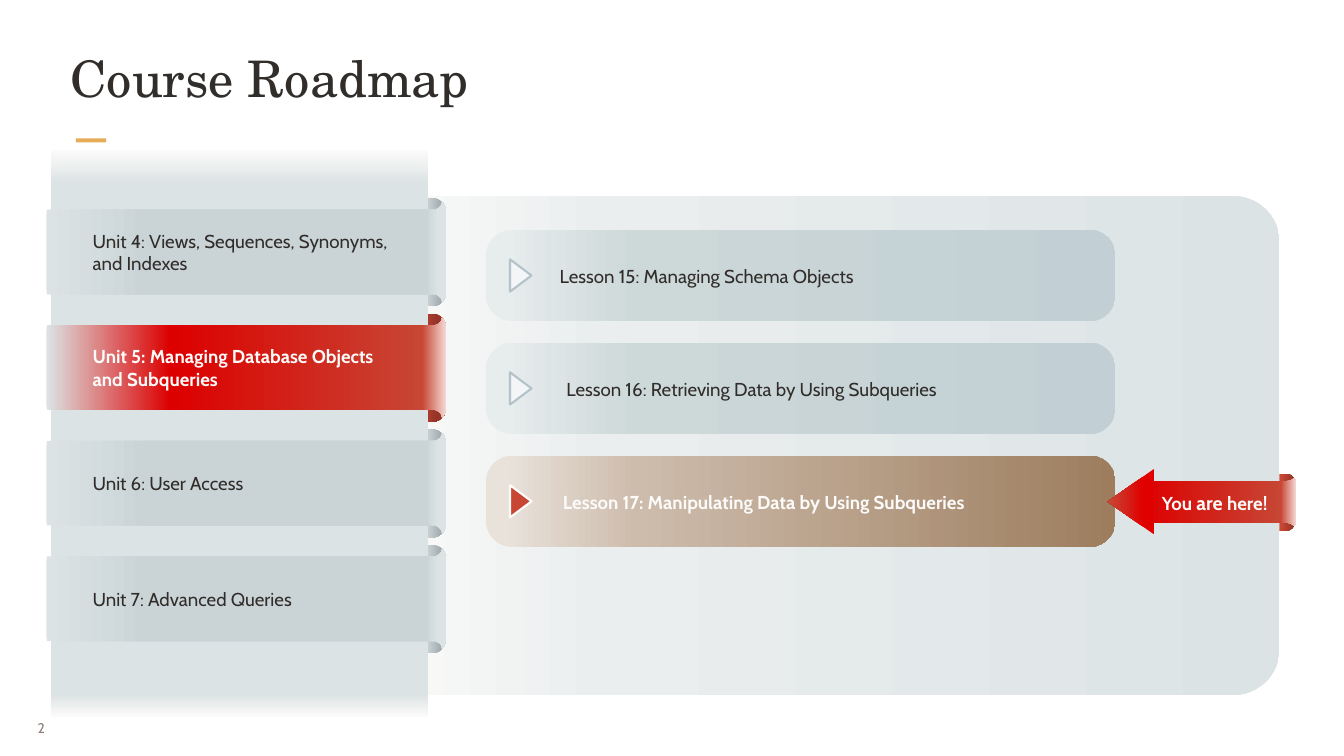
import pptx
import pptx.dml.color
import pptx.enum.shapes
import pptx.enum.text
import pptx.oxml
import pptx.oxml.ns
import pptx.util

Inches = pptx.util.Inches
Shapes = pptx.enum.shapes.MSO_SHAPE
Align = pptx.enum.text.PP_ALIGN
Anchor = pptx.enum.text.MSO_ANCHOR

COLORS = {
    "ink": "312D2A", "muted": "8B8078", "light": "FCFBFA", "accent": "E6AC58",
    "fog": "EAEEEF", "mist": "DCE3E4", "steel": "CAD4D7",
    "curl": "DEE4E5", "curl_dark": "96A2A7",
    "red": "DC0000", "tip": "E00000", "brick": "C74634", "brick_dark": "953427",
    "blush": "F4DAD6", "sand": "E9E2DB", "tan": "CDBCAC", "brown": "9D7D5E",
    "ice": "E7ECED", "sage": "CDD8D9", "blue_gray": "C2CFD4",
    "arrow": "F3F5F6", "arrow_line": "B4C3C9",
}

# Gradients: (position in percent, colour)
PANEL = [(0, "light"), (26, "fog"), (100, "mist")]
SIDEBAR = [(0, "light"), (6, "mist"), (96, "mist"), (100, "light")]
LESSON = [(3, "ice"), (24, "sage"), (100, "blue_gray")]
LESSON_NOW = [(3, "sand"), (24, "tan"), (100, "brown")]
UNIT = [(0, "mist"), (25, "steel"), (95, "steel"), (98, "mist")]
UNIT_NOW = [(0, "mist"), (31, "red"), (94, "brick"), (100, "blush")]
CURL = [(77, "curl"), (99, "curl_dark")]
CURL_NOW = [(73, "brick"), (92, "brick_dark")]
MARKER = [(0, "red"), (90, "brick"), (100, "blush")]
MARKER_CURL = [(11, "brick"), (92, "brick_dark")]
MARKER_TIP = [(0, "tip"), (23, "tip"), (96, "brick")]


def rgb(name):
    return pptx.dml.color.RGBColor.from_string(COLORS[name])


def write(frame, text, size=20, font="Cabin", color="ink", bold=False, align=Align.LEFT):
    """Fill a text frame; text is a string or a list of (string, size)."""
    paragraph = frame.paragraphs[0]
    paragraph.alignment = align
    for words, points in [(text, size)] if isinstance(text, str) else text:
        run = paragraph.add_run()
        run.text = words
        run.font.name = font
        run.font.size = pptx.util.Pt(points)
        run.font.bold = bold
        run.font.color.rgb = rgb(color)


def curve(*controls, steps=8):
    """Points along a cubic Bezier curve."""
    weights = (1, 3, 3, 1)
    return [
        tuple(sum(w * (1 - t) ** (3 - k) * t ** k * point[axis]
                  for k, (w, point) in enumerate(zip(weights, controls)))
              for axis in (0, 1))
        for t in (step / steps for step in range(steps + 1))
    ]


def ribbon_edge(left, right, hook, drop, inset, notch=0):
    """Upper edge of a ribbon that flares at its right end, as (x, depth)."""
    corner = right - hook
    return [
        (left, drop), (left + notch, inset),
        *curve((corner - 0.12, inset), (corner - 0.08, inset),
               (corner - 0.04, inset * 0.75), (corner - 0.01, inset * 0.4)),
        *curve((corner, 0), (corner + hook * 0.67, drop * 0.25),
               (right, drop * 0.6), (right, drop)),
    ]


class Roadmap:
    def __init__(self, slide):
        self.slide = slide
        self.shapes = slide.shapes

    def paint(self, shape, fill, angle=0, line=None):
        shape.shadow.inherit = False
        if isinstance(fill, str):
            shape.fill.solid()
            shape.fill.fore_color.rgb = rgb(fill)
        else:
            shape.fill.gradient()
            shape.fill.gradient_angle = (360 - angle) % 360
            stops = shape._element.spPr.find(".//" + pptx.oxml.ns.qn("a:gsLst"))
            for stop in list(stops):
                stops.remove(stop)
            for position, name in fill:
                stops.append(pptx.oxml.parse_xml(
                    f'<a:gs {pptx.oxml.ns.nsdecls("a")} pos="{position * 1000}">'
                    f'<a:srgbClr val="{COLORS[name]}"/></a:gs>'))
        if line:
            shape.line.color.rgb = rgb(line)
            shape.line.width = pptx.util.Pt(2.25)
        else:
            shape.line.fill.background()

    def box(self, kind, left, top, width, height, fill, radius=None, rotation=0, **style):
        shape = self.shapes.add_shape(
            kind, Inches(left), Inches(top), Inches(width), Inches(height))
        if radius is not None:
            shape.adjustments[0] = radius
        shape.rotation = rotation
        self.paint(shape, fill, **style)

    def mirrored(self, edge, top, bottom, fill):
        """Outline from an upper edge and its reflection below."""
        points = [(x, top + depth) for x, depth in edge]
        points += [(x, bottom - depth) for x, depth in reversed(edge)]
        points = [(Inches(x), Inches(y)) for x, y in points]
        builder = self.shapes.build_freeform(*points[0])
        builder.add_line_segments(points[1:], close=True)
        self.paint(builder.convert_to_shape(), fill)

    def text(self, text, left, top, width, height, anchor=Anchor.MIDDLE, wrap=True, **style):
        frame = self.shapes.add_textbox(
            Inches(left), Inches(top), Inches(width), Inches(height)).text_frame
        frame.word_wrap = wrap
        frame.vertical_anchor = anchor
        write(frame, text, **style)
        return frame

    def title(self, text):
        title = self.shapes.title
        title.left, title.top = Inches(1.02), Inches(0.67)
        title.width, title.height = Inches(17.96), Inches(1.28)
        frame = title.text_frame
        frame.vertical_anchor = Anchor.TOP
        frame.margin_left = frame.margin_right = Inches(0.03)
        frame.margin_top = frame.margin_bottom = Inches(0.03)
        write(frame, text, size=54, font="TeX Gyre Schola")


def main():
    deck = pptx.Presentation()
    deck.slide_width, deck.slide_height = Inches(20), Inches(11.25)
    roadmap = Roadmap(deck.slides.add_slide(deck.slide_layouts[5]))

    # Title, accent bar and page number
    roadmap.title("Course Roadmap")
    roadmap.box(Shapes.RECTANGLE, 1.13, 2.06, 0.45, 0.06, "accent")
    page = roadmap.text("2", 0.43, 10.54, 0.65, 0.58, wrap=False,
                        size=15, color="muted", align=Align.JUSTIFY)
    page.margin_left = page.margin_right = Inches(0.13)
    page.margin_top = page.margin_bottom = Inches(0.07)

    # Lessons of the current unit
    roadmap.box(Shapes.ROUNDED_RECTANGLE, 5.42, 2.92, 13.62, 7.42, PANEL, radius=0.093)
    lessons = [
        ("Lesson 15: Managing Schema Objects", 8.23, 7.37),
        ("Lesson 16: Retrieving Data by Using Subqueries", 8.33, 6.7),
        ("Lesson 17: Manipulating Data by Using Subqueries", 8.28, 6.7),
    ]
    for index, (lesson, left, width) in enumerate(lessons):
        top = 3.42 + 1.68 * index
        current = index == 2
        roadmap.box(Shapes.ROUNDED_RECTANGLE, 7.23, top, 9.37, 1.36,
                    LESSON_NOW if current else LESSON, radius=0.289)
        roadmap.text(lesson, left, top + 0.47, width, 0.44,
                     color="light" if current else "ink", bold=current)
        roadmap.box(Shapes.ISOSCELES_TRIANGLE, 7.51, top + 0.52, 0.48, 0.32,
                    "brick" if current else "arrow", rotation=90,
                    line="light" if current else "arrow_line")

    # "You are here!" marker
    curl_edge = [(19.04, 0), *curve((19.13, 0), (19.21, 0), (19.27, 0.06), (19.27, 0.14))]
    roadmap.mirrored(curl_edge, 7.05, 7.9, MARKER_CURL)
    marker_edge = ribbon_edge(16.99, 19.29, hook=0.04, drop=0.09, inset=0.05)
    roadmap.mirrored(marker_edge, 7.11, 7.83, MARKER)
    roadmap.box(Shapes.ISOSCELES_TRIANGLE, 16.34, 7.12, 0.97, 0.69, MARKER_TIP,
                rotation=270, angle=270)
    roadmap.text([("You ", 20), ("are", 21), (" here!", 20)], 16.99, 7.25, 2.17, 0.45,
                 anchor=Anchor.TOP, color="light", bold=True, align=Align.CENTER)

    # Units: curls behind the sidebar, ribbons in front of it
    units = [
        ("Unit 4: Views, Sequences, Synonyms, and Indexes", 4.81, 0.77),
        ("Unit 5: Managing Database Objects and Subqueries", 4.89, 0.77),
        ("Unit 6: User Access", 3.63, 0.44),
        ("Unit 7: Advanced Queries", 3.63, 0.44),
    ]
    unit_tops = [3 + 1.72 * index for index in range(len(units))]
    for index, top in enumerate(unit_tops):
        roadmap.box(Shapes.ROUNDED_RECTANGLE, 5.05, top - 0.05, 1.58, 1.61,
                    CURL_NOW if index == 1 else CURL, radius=0.126)
    roadmap.box(Shapes.RECTANGLE, 0.76, 2.23, 5.61, 8.44, SIDEBAR, angle=90)
    unit_edge = ribbon_edge(0.69, 6.64, hook=0.06, drop=0.2, inset=0.12, notch=0.01)
    for index, (top, (unit, width, height)) in enumerate(zip(unit_tops, units)):
        current = index == 1
        roadmap.mirrored(unit_edge, top, top + 1.5, UNIT_NOW if current else UNIT)
        roadmap.text(unit, 1.28, top + 0.75 - height / 2, width, height,
                     color="light" if current else "ink", bold=current)

    deck.save("out.pptx")


if __name__ == "__main__":
    main()
